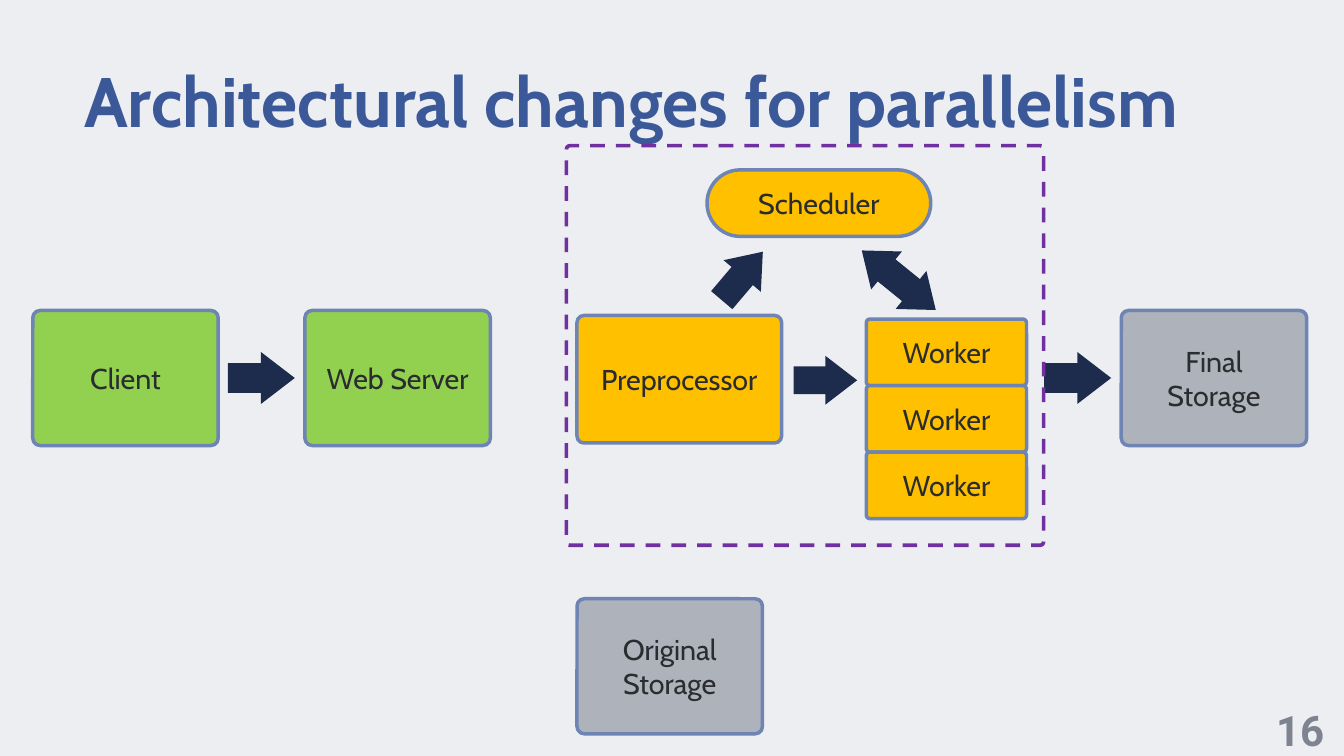
import pptx
import pptx.util
from pptx.dml.color import RGBColor
from pptx.enum.dml import MSO_LINE
from pptx.enum.shapes import MSO_SHAPE
from pptx.enum.text import MSO_ANCHOR, PP_ALIGN

COLORS = {
    "background": "EDEEF1", "title": "3B5998", "text": "2A2C2F",
    "outline": "6D84B4", "arrow": "1D2C4C", "cluster": "7030A0",
    "front": "92D050", "storage": "ADB2BB", "compute": "FFC000",
    "number": "7D8490",
}
WIDTH, HEIGHT = 26.67, 15

# Main grid: box columns on a fixed pitch, two rows
LEFT, PITCH = 0.65, 5.4
BOX_WIDTH, BOX_HEIGHT = 3.68, 2.68
ROW_TOPS = [6.16, 11.88]
ARROW_SIZE, ARROW_GAP = (1.33, 1.03), 0.2

TITLE = "Architectural changes for parallelism"
SLIDE_NUMBER = "16"
# lines, column, row, color, arrow leading in
BOXES = [
    (["Client"], 0, 0, "front", False),
    (["Web Server"], 1, 0, "front", True),
    (["Final", "Storage"], 4, 0, "storage", True),
    (["Original", "Storage"], 2, 1, "storage", False),
]

CLUSTER = (11.24, 2.89, 9.47, 7.93)
SCHEDULER = (14.03, 3.37, 4.44, 1.32)
PREPROCESSOR = (11.45, 6.26, 4.06, 2.53)
WORKER_COUNT = 3
WORKER_LEFT, WORKER_TOP, WORKER_WIDTH, WORKER_HEIGHT = 17.19, 6.33, 3.18, 1.32
CLUSTER_ARROW_SIZE = (1.26, 0.97)
# left, top, rotation; the last two form one double-headed arrow
CLUSTER_ARROWS = [(15.75, 7.06, 0), (14.1, 4.99, 310.3),
                  (17.45, 5.27, 39), (16.96, 4.88, 219)]


def color(name):
    return RGBColor.from_string(COLORS[name])


def inches(*lengths):
    return [pptx.util.Inches(length) for length in lengths]


def write(shape, lines, size, font, color_name, bold=False, align=PP_ALIGN.CENTER):
    frame = shape.text_frame
    frame.word_wrap = True
    frame.text = "\n".join(lines)
    for paragraph in frame.paragraphs:
        paragraph.alignment = align
        paragraph.font.size = pptx.util.Pt(size)
        paragraph.font.name = font
        paragraph.font.bold = bold
        paragraph.font.color.rgb = color(color_name)
    return frame


def set_margins(frame, margin):
    frame.margin_left = frame.margin_right = pptx.util.Inches(margin)
    frame.margin_top = frame.margin_bottom = pptx.util.Inches(margin)


def add_preset(shapes, kind, area, adjustments):
    shape = shapes.add_shape(kind, *inches(*area))
    shape.shadow.inherit = False
    for index, value in enumerate(adjustments):
        shape.adjustments[index] = value
    return shape


def add_box(shapes, lines, area, fill, rounding=0.054):
    box = add_preset(shapes, MSO_SHAPE.ROUNDED_RECTANGLE, area, [rounding])
    box.fill.solid()
    box.fill.fore_color.rgb = color(fill)
    box.line.color.rgb = color("outline")
    box.line.width = pptx.util.Pt(5)
    frame = write(box, lines, 40.9, "Cabin", "text")
    frame.vertical_anchor = MSO_ANCHOR.MIDDLE
    set_margins(frame, 0.04)


def add_arrow(shapes, left, top, size, rotation=0):
    arrow = add_preset(shapes, MSO_SHAPE.RIGHT_ARROW, (left, top, *size), [0.571, 0.651])
    arrow.rotation = rotation
    arrow.fill.solid()
    arrow.fill.fore_color.rgb = color("arrow")
    arrow.line.fill.background()


def add_pipeline(shapes):
    for lines, column, row, fill, arrow_in in BOXES:
        left, top = LEFT + column * PITCH, ROW_TOPS[row]
        add_box(shapes, lines, (left, top, BOX_WIDTH, BOX_HEIGHT), fill)
        if arrow_in:
            arrow_width, arrow_height = ARROW_SIZE
            add_arrow(shapes, left - ARROW_GAP - arrow_width,
                      top + (BOX_HEIGHT - arrow_height) / 2, ARROW_SIZE)


def add_cluster(shapes):
    frame = add_preset(shapes, MSO_SHAPE.ROUNDED_RECTANGLE, CLUSTER, [0.009])
    frame.fill.background()
    frame.line.color.rgb = color("cluster")
    frame.line.width = pptx.util.Pt(5.25)
    frame.line.dash_style = MSO_LINE.DASH
    add_box(shapes, ["Scheduler"], SCHEDULER, "compute", 0.5)
    for left, top, rotation in CLUSTER_ARROWS:
        add_arrow(shapes, left, top, CLUSTER_ARROW_SIZE, rotation)
    add_box(shapes, ["Preprocessor"], PREPROCESSOR, "compute")
    for index in range(WORKER_COUNT):
        top = WORKER_TOP + index * WORKER_HEIGHT
        add_box(shapes, ["Worker"], (WORKER_LEFT, top, WORKER_WIDTH, WORKER_HEIGHT), "compute")


def main():
    presentation = pptx.Presentation()
    presentation.slide_width, presentation.slide_height = inches(WIDTH, HEIGHT)
    slide = presentation.slides.add_slide(presentation.slide_layouts[6])
    slide.background.fill.solid()
    slide.background.fill.fore_color.rgb = color("background")

    title = slide.shapes.add_textbox(*inches(1.67, 1.14, 23.33, 2.01))
    set_margins(write(title, [TITLE], 100, "Cabin", "title", True, PP_ALIGN.LEFT), 0)

    add_pipeline(slide.shapes)
    add_cluster(slide.shapes.add_group_shape().shapes)

    number = slide.shapes.add_textbox(*inches(25, 13.82, 1.6, 1.21))
    frame = write(number, [SLIDE_NUMBER], 60, "Roboto", "number", True)
    frame.paragraphs[0].line_spacing = 1.1

    presentation.save("out.pptx")


if __name__ == "__main__":
    main()
